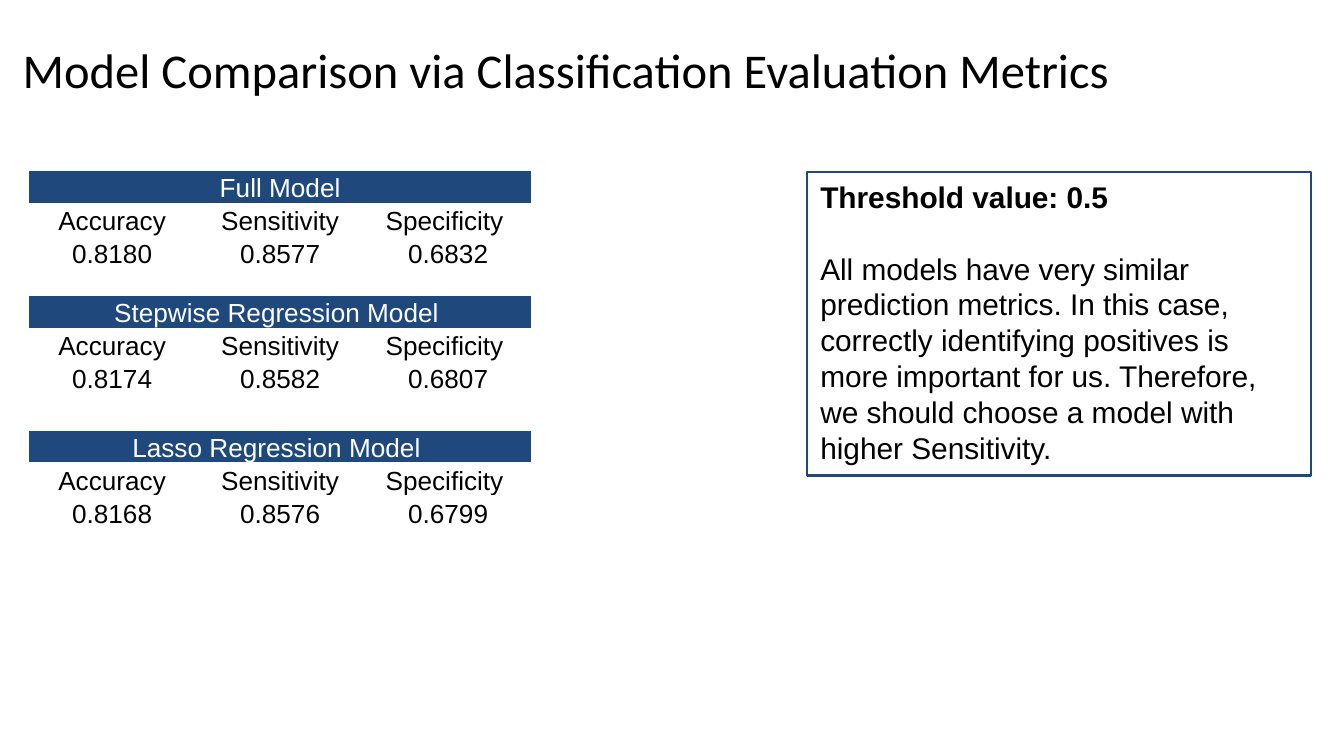
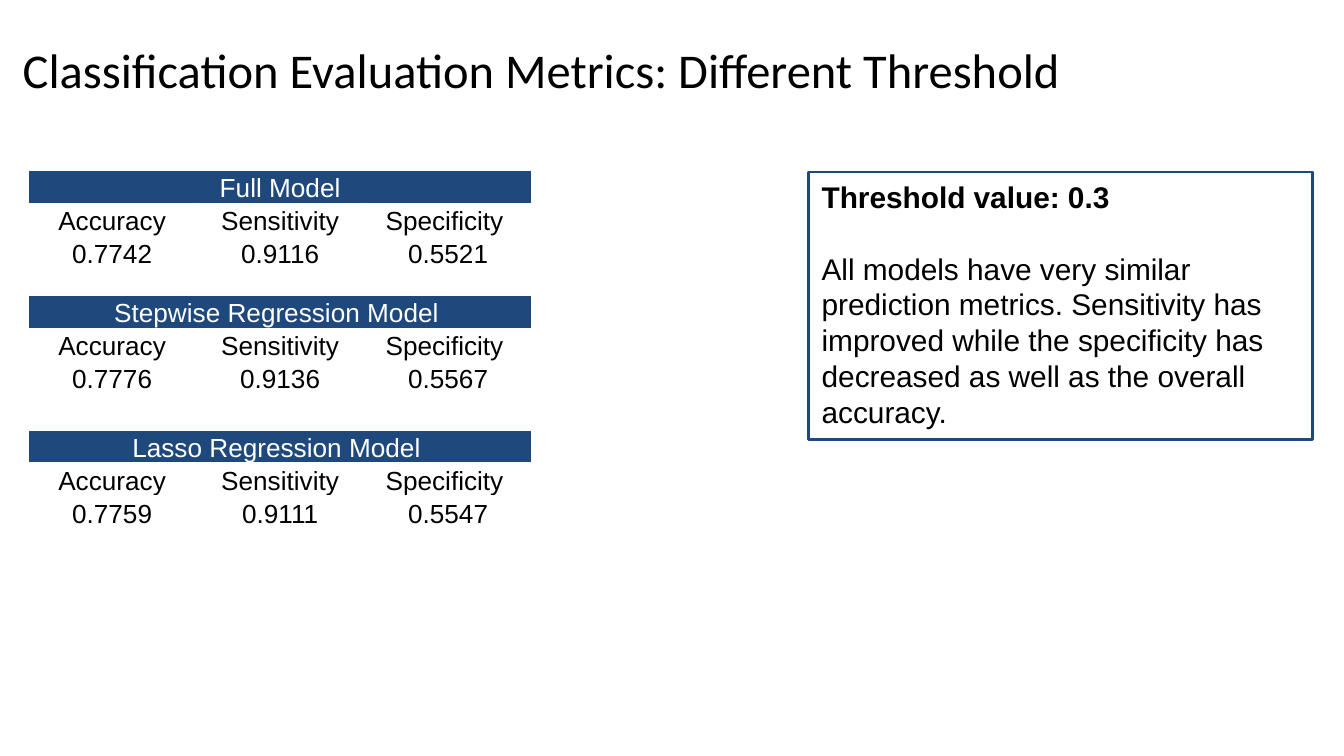
"""Build two slides comparing classification metrics at two thresholds."""
from lxml import etree
from pptx import Presentation
from pptx import util as u
from pptx.dml.color import RGBColor
from pptx.enum import shapes, text
from pptx.oxml.ns import qn

PX = 4572
ROW_HEIGHT = 49
COLOURS = {"navy": "1F497D", "white": "FFFFFF", "black": "000000"}
METRICS = ("Accuracy", " Sensitivity ", "Specificity ")
MODELS = {"Full Model": 254, "Stepwise Regression Model ": 440, "Lasso Regression Model ": 640}
TITLE_FONT = {"name": "Calibri", "size": u.Pt(26), "bold": False}
TABLE_FONT = {"name": "Arial", "size": u.Pt(14), "bold": False}
NOTE_FONT = {"name": "Arial", "size": u.Pt(16), "bold": False}
CELL_FORMAT = {
    "margin_left": 2 * PX, "margin_right": 2 * PX, "margin_top": 2 * PX, "margin_bottom": 0,
    "vertical_anchor": text.MSO_ANCHOR.BOTTOM,
}
NOTE_FORMAT = {
    "word_wrap": True, "vertical_anchor": text.MSO_ANCHOR.TOP,
    "auto_size": text.MSO_AUTO_SIZE.SHAPE_TO_FIT_TEXT,
}
SLIDES = (
    {
        "title": "Model Comparison via Classification Evaluation Metrics ",
        "scores": (("0.8180", "0.8577", "0.6832"),
                   ("0.8174", "0.8582", "0.6807"),
                   ("0.8168", "0.8576", "0.6799")),
        "threshold": "Threshold value: 0.5",
        "finding": "All models have very similar prediction metrics. In this case, "
                   "correctly identifying positives is more important for us. "
                   "Therefore, we should choose a model with higher Sensitivity.",
        "note_box": (1201, 256, 750, 452),
    },
    {
        "title": "Classification Evaluation Metrics: Different Threshold ",
        "scores": (("0.7742", "0.9116", "0.5521"),
                   ("0.7776", "0.9136", "0.5567"),
                   ("0.7759", "0.9111", "0.5547")),
        "threshold": "Threshold value: 0.3",
        "finding": "All models have very similar prediction metrics. Sensitivity has "
                   "improved while the specificity has decreased as well as the "
                   "overall accuracy.",
        "note_box": (1203, 256, 750, 398),
    },
)


def px(*lengths):
    """Turn px lengths into EMU."""
    return [u.Emu(length * PX) for length in lengths]


def rgb(colour):
    """Look up a named colour."""
    return RGBColor.from_string(COLOURS[colour])


def apply(target, values):
    """Set every attribute in a dict of format values."""
    for attribute, value in values.items():
        setattr(target, attribute, value)


def write(paragraph, words, font, colour="black", align=text.PP_ALIGN.LEFT):
    """Fill a paragraph with one formatted run."""
    paragraph.alignment = align
    run = paragraph.add_run()
    run.text = words
    apply(run.font, font)
    run.font.color.rgb = rgb(colour)


def add_title(slide, words):
    """Add the slide title."""
    frame = slide.shapes.add_textbox(*px(14, 50, 1936, 138)).text_frame
    frame.word_wrap = True
    write(frame.paragraphs[0], words, TITLE_FONT)


def add_borders(cell):
    """Draw thin white borders around a cell."""
    properties = cell._tc.get_or_add_tcPr()
    for side in ("lnL", "lnR", "lnT", "lnB"):
        line = etree.SubElement(properties, qn(f"a:{side}"), w=str(u.Pt(1)))
        fill = etree.SubElement(line, qn("a:solidFill"))
        etree.SubElement(fill, qn("a:srgbClr"), val=COLOURS["white"])


def add_metrics_table(slide, model, top, scores):
    """Add one model's heading, metric names and scores."""
    rows = (((model,), "white"), (METRICS, "black"), (scores, "black"))
    box = px(42, top, 750, ROW_HEIGHT * len(rows))
    table = slide.shapes.add_table(len(rows), len(METRICS), *box).table
    apply(table, {"first_row": False, "horz_banding": False})
    for cell in table.iter_cells():
        apply(cell, CELL_FORMAT)
        add_borders(cell)
        cell.fill.background()
    heading = table.cell(0, 0)
    heading.merge(table.cell(0, len(METRICS) - 1))
    heading.fill.solid()
    heading.fill.fore_color.rgb = rgb("navy")
    for row, (entries, colour) in enumerate(rows):
        for column, entry in enumerate(entries):
            paragraph = table.cell(row, column).text_frame.paragraphs[0]
            write(paragraph, entry, TABLE_FONT, colour, text.PP_ALIGN.CENTER)


def add_note(slide, box, threshold, finding):
    """Add the outlined box with the threshold and its finding."""
    note = slide.shapes.add_shape(shapes.MSO_SHAPE.RECTANGLE, *px(*box))
    note.shadow.inherit = False
    note.fill.background()
    note.line.color.rgb = rgb("navy")
    note.line.width = u.Pt(1.5)
    frame = note.text_frame
    apply(frame, NOTE_FORMAT)
    write(frame.paragraphs[0], threshold, NOTE_FONT | {"bold": True})
    body = frame.add_paragraph()
    body.space_before = u.Pt(19.2)
    write(body, finding, NOTE_FONT)


def main():
    """Build and save the deck."""
    deck = Presentation()
    deck.slide_width, deck.slide_height = px(2000, 1125)
    for content in SLIDES:
        slide = deck.slides.add_slide(deck.slide_layouts[6])
        for (model, top), scores in zip(MODELS.items(), content["scores"]):
            add_metrics_table(slide, model, top, scores)
        add_title(slide, content["title"])
        add_note(slide, content["note_box"], content["threshold"], content["finding"])
    deck.save("out.pptx")


if __name__ == "__main__":
    main()
